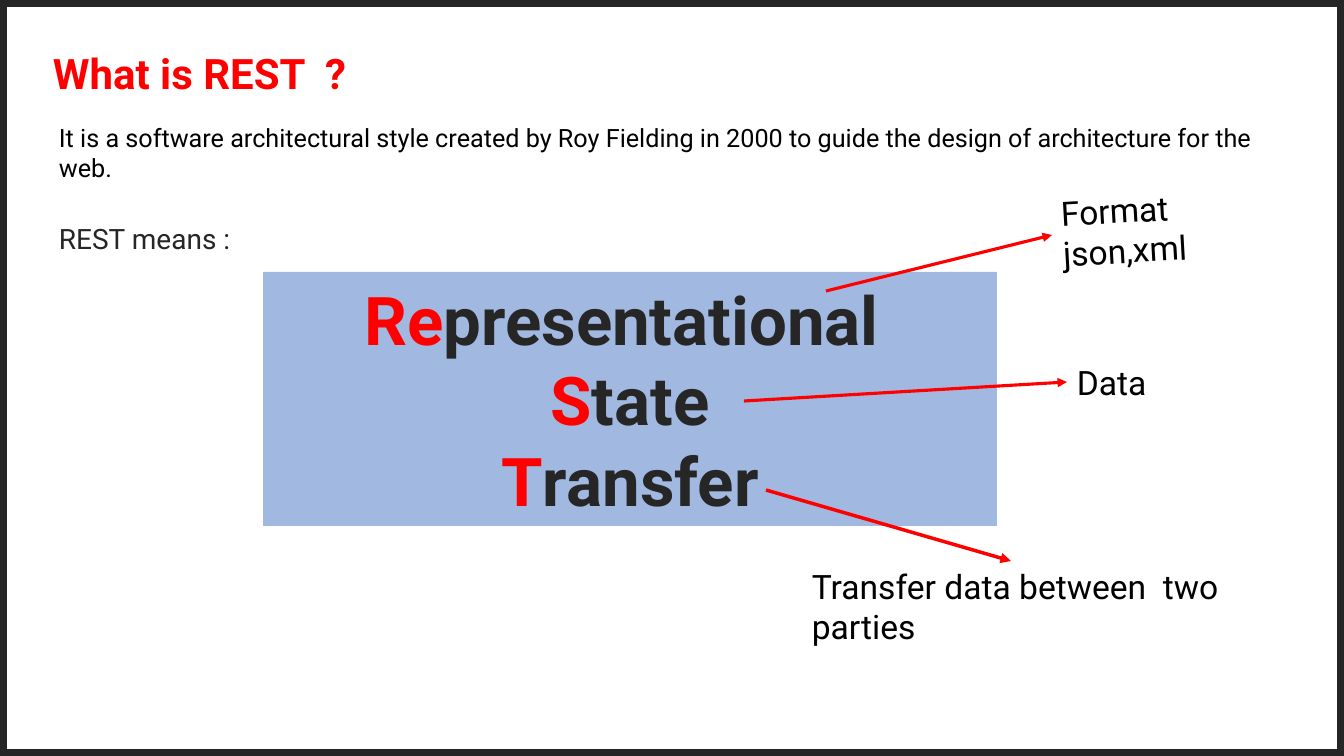
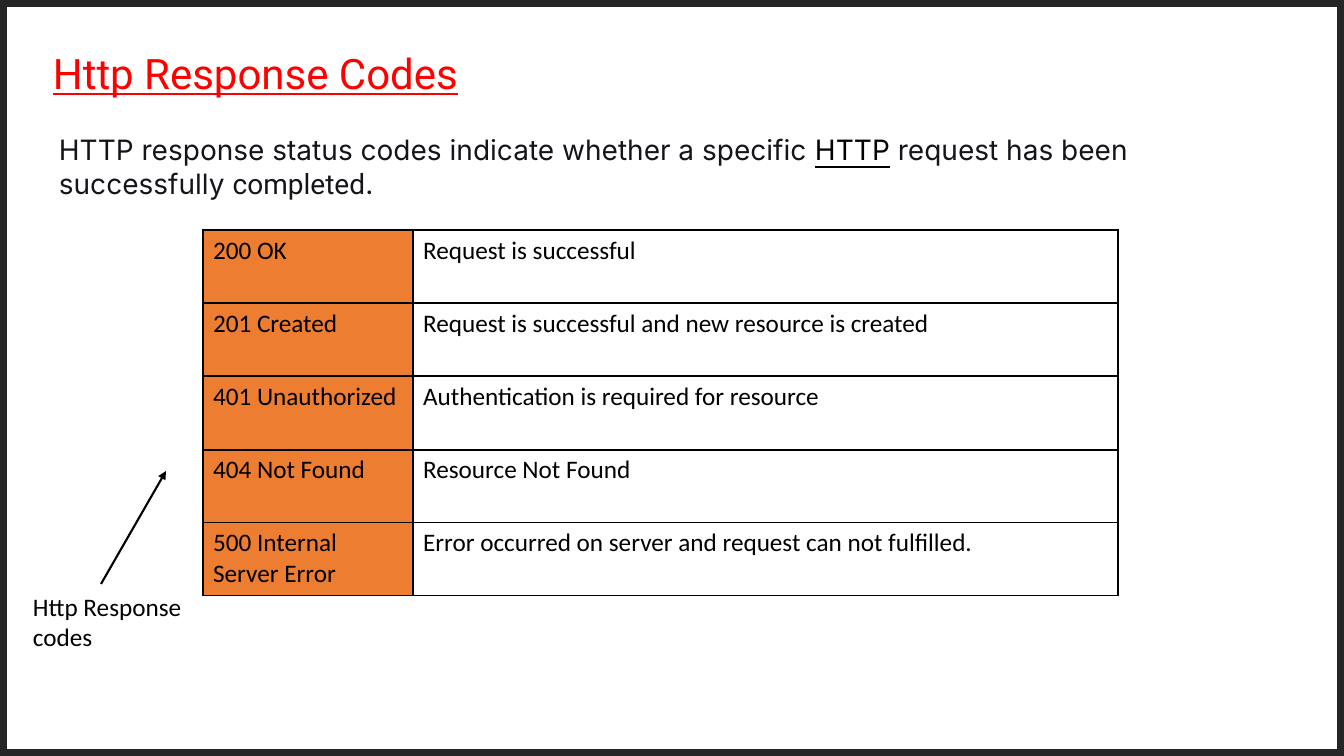
import pptx
import pptx.dml.color
import pptx.enum.shapes
import pptx.enum.text
import pptx.oxml
import pptx.oxml.ns
import pptx.util
import lxml.etree

PIXEL = 9072  # EMU in one pixel
RED, BLACK, DARK, INK = "FF0000", "000000", "262626", "15141A"
BLUE, ORANGE = "4472C4", "ED7D31"
colour = pptx.dml.color.RGBColor.from_string
qn = pptx.oxml.ns.qn
RECTANGLE = pptx.enum.shapes.MSO_SHAPE.RECTANGLE


def write_text(target, paragraphs, size, font="Roboto", bold=False):
    """Fill a shape or cell; each paragraph is a list of (text, colour, changes) runs."""
    text_frame = target.text_frame
    text_frame.word_wrap = True
    for index, runs in enumerate(paragraphs):
        paragraph = text_frame.add_paragraph() if index else text_frame.paragraphs[0]
        for text, run_colour, *changes in runs:
            run = paragraph.add_run()
            run.text = text
            run.font.size = pptx.util.Pt(size)
            run.font.name = font
            run.font.bold = bold
            run.font.color.rgb = colour(run_colour)
            for change in changes:
                for name, value in change.items():
                    setattr(run.font, name, value)


def add_arrow(slide, ends, line_colour, width):
    """Draw a straight line with a triangle at its far end."""
    arrow = slide.shapes.add_connector(
        pptx.enum.shapes.MSO_CONNECTOR.STRAIGHT, *[end * PIXEL for end in ends])
    arrow.line.color.rgb = colour(line_colour)
    arrow.line.width = pptx.util.Pt(width)
    lxml.etree.SubElement(arrow.line._get_or_add_ln(), qn("a:tailEnd"), type="triangle")
    lxml.etree.SubElement(arrow._element.spPr, qn("a:effectLst"))


presentation = pptx.Presentation()
presentation.slide_width = 1344 * PIXEL
presentation.slide_height = 756 * PIXEL

# Both slides: a dark frame and a red title
titles = [
    ("What is REST  ?", {"bold": True}),
    ("Http Response Codes", {"underline": True}),
]
slides = []
for title, emphasis in titles:
    slide = presentation.slides.add_slide(presentation.slide_layouts[6])
    frame = slide.shapes.add_shape(RECTANGLE, 0, 0, 1344 * PIXEL, 756 * PIXEL)
    frame.shadow.inherit = False
    frame.fill.background()
    frame.line.color.rgb = colour(DARK)
    frame.line.width = pptx.util.Pt(10)
    title_box = slide.shapes.add_textbox(*[side * PIXEL for side in (43, 43, 1258, 61)])
    write_text(title_box, [[(title, RED, emphasis)]], 30)
    slides.append(slide)
rest_slide, codes_slide = slides

# REST: the acronym spelled out on a translucent panel
panel = rest_slide.shapes.add_shape(
    RECTANGLE, *[side * PIXEL for side in (263, 272, 734, 254)])
panel.shadow.inherit = False
panel.line.fill.background()
panel.fill.solid()
panel.fill.fore_color.rgb = colour(BLUE)
panel_colour = panel._element.spPr.find(".//" + qn("a:srgbClr"))
lxml.etree.SubElement(panel_colour, qn("a:alpha"), val="50000")
words = [("Re", "presentational "), ("S", "tate"), ("T", "ransfer")]
write_text(panel, [[(initial, RED), (rest, DARK)] for initial, rest in words], 48, bold=True)
panel.text_frame.vertical_anchor = pptx.enum.text.MSO_ANCHOR.MIDDLE
for paragraph in panel.text_frame.paragraphs:
    paragraph.alignment = pptx.enum.text.PP_ALIGN.CENTER

for ends, width in [
    ((744, 401, 1067, 382), 2.25),
    ((826, 291, 1052, 235), 2.25),
    ((766, 490, 1011, 561), 2.5),
]:
    add_arrow(rest_slide, ends, RED, width)

# Text boxes of both slides: slide, place, rotation, paragraphs, size, font
intro = ("It is a software architectural style created by Roy Fielding in 2000 "
         "to guide the design of architecture for the web.")
status_runs = [
    ("HTTP response status codes indicate whether a specific\u00a0", INK),
    ("HTTP", BLACK, {"underline": True}),
    ("\u00a0request has been successfully ", INK),
    ("completed", INK, {"name": "Roboto"}),
    (".\u00a0", INK),
]
text_boxes = [
    (rest_slide, (49, 117, 1258, 72), 0, [[(intro, BLACK)]], 18, "Roboto"),
    (rest_slide, (49, 217, 1258, 44), 0, [[("REST means :", DARK)]], 20, "Roboto"),
    (rest_slide, (1052, 184, 163, 92), -3.2,
     [[("Format", BLACK)], [("json,xml", BLACK)]], 24, "Roboto"),
    (rest_slide, (1067, 357, 163, 50), 0, [[("Data", BLACK)]], 24, "Roboto"),
    (rest_slide, (802, 561, 445, 92), 0,
     [[("Transfer data between  two parties", BLACK)]], 24, "Roboto"),
    (codes_slide, (49, 128, 1177, 78), 0, [status_runs], 20, "Inter"),
    (codes_slide, (23, 586, 196, 72), 0, [[("Http Response codes", BLACK)]], 18, "Calibri"),
]
for slide, place, rotation, paragraphs, size, font in text_boxes:
    text_box = slide.shapes.add_textbox(*[side * PIXEL for side in place])
    text_box.rotation = rotation
    write_text(text_box, paragraphs, size, font)
    text_box.text_frame.auto_size = pptx.enum.text.MSO_AUTO_SIZE.SHAPE_TO_FIT_TEXT

# Response codes: table of code and meaning
responses = [
    ("200 OK", "Request is successful"),
    ("201 Created", "Request is successful and new resource is created"),
    ("401 Unauthorized", "Authentication is required for resource"),
    ("404 Not Found", "Resource Not Found"),
    ("500 Internal Server Error", "Error occurred on server and request can not fulfilled."),
]
row_heights = [73, 73, 74, 73, 73]
column_widths = [210, 705]
table = codes_slide.shapes.add_table(
    len(responses), 2, 203 * PIXEL, 230 * PIXEL,
    sum(column_widths) * PIXEL, sum(row_heights) * PIXEL).table
table.first_row = False
table.horz_banding = False
for column, width in zip(table.columns, column_widths):
    column.width = width * PIXEL
for row, height, response in zip(table.rows, row_heights, responses):
    row.height = height * PIXEL
    for cell, text in zip(row.cells, response):
        write_text(cell, [[(text, BLACK)]], 18, "Calibri")
        properties = cell._tc.get_or_add_tcPr()
        for edge in ("a:lnL", "a:lnR", "a:lnT", "a:lnB"):
            border = lxml.etree.SubElement(properties, qn(edge), w=str(pptx.util.Pt(1)))
            border_fill = lxml.etree.SubElement(border, qn("a:solidFill"))
            lxml.etree.SubElement(border_fill, qn("a:srgbClr"), val=BLACK)
        if text == response[0]:
            cell.fill.solid()
            cell.fill.fore_color.rgb = colour(ORANGE)
        else:
            cell.fill.background()

add_arrow(codes_slide, (101, 584, 166, 471), BLACK, 1.5)

presentation.save("out.pptx")
